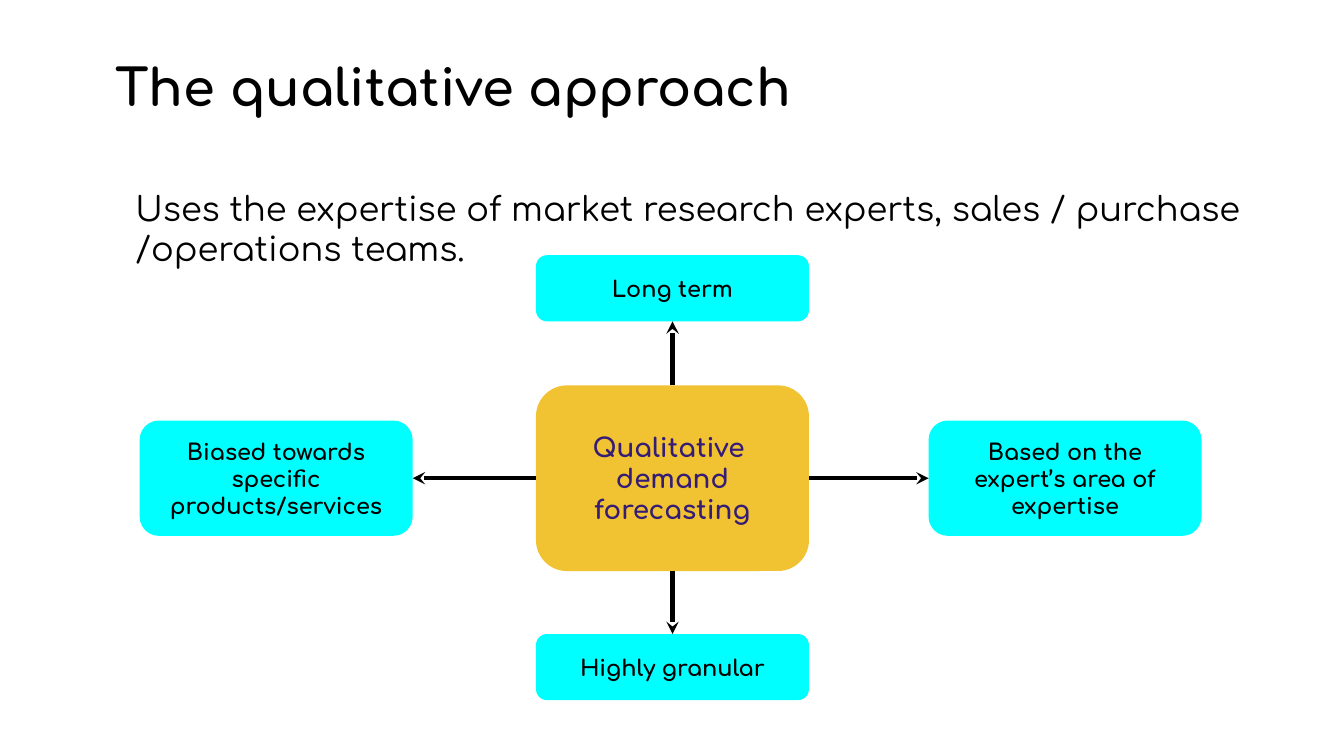
from lxml.etree import SubElement
from pptx import Presentation
from pptx.dml.color import RGBColor
from pptx.enum.shapes import MSO_CONNECTOR, MSO_SHAPE
from pptx.enum.text import MSO_ANCHOR, PP_ALIGN
from pptx.oxml.ns import qn
from pptx.util import Cm, Pt

THEME = {
    "font": "Comfortaa",
    "ink": RGBColor(0x00, 0x00, 0x00),
    "paper": RGBColor(0xFF, 0xFF, 0xFF),
    "hub": RGBColor(0xF1, 0xC2, 0x32),
    "hub_text": RGBColor(0x35, 0x1C, 0x75),
    "card": RGBColor(0x00, 0xFF, 0xFF),
    "title_size": 27.2, "body_size": 18, "hub_size": 14, "card_size": 12,
}

# Content
TITLE = "The qualitative approach"
INTRO = ["Uses the expertise of market research experts, sales / purchase",
         "/operations teams."]
HUB = ["Qualitative ", "demand forecasting"]

# Geometry in cm; cards are placed by their offset from the hub's centre
CENTRE_X, CENTRE_Y = 12.71, 9.04
BOX_W, HUB_H, LOW_H, TALL_H = 5.16, 3.51, 1.25, 2.18
INSET = 0.25
TOP, LEFT, BOTTOM, RIGHT = range(4)  # connection sites of a rounded rectangle

# Text, horizontal offset, vertical offset, height, side of the hub
CARDS = [
    ("Long term", 0, -3.59, LOW_H, TOP),
    ("Highly granular", 0, 3.57, LOW_H, BOTTOM),
    ("Biased towards specific products/services", -7.49, 0, TALL_H, LEFT),
    ("Based on the expert’s area of expertise", 7.42, 0, TALL_H, RIGHT),
]


def write(shape, lines, size, color, bold=True, align=PP_ALIGN.CENTER,
          anchor=MSO_ANCHOR.MIDDLE):
    tf = shape.text_frame
    tf.word_wrap = True
    tf.vertical_anchor = anchor
    tf.margin_left = tf.margin_right = tf.margin_top = tf.margin_bottom = Cm(INSET)
    tf.text = "\n".join(lines)
    for p in tf.paragraphs:
        p.alignment = align
        for r in p.runs:
            r.font.name = THEME["font"]
            r.font.size = Pt(size)
            r.font.bold = bold
            r.font.color.rgb = color


def add_box(s, lines, dx, dy, height, fill, size, color):
    box = s.shapes.add_shape(
        MSO_SHAPE.ROUNDED_RECTANGLE,
        Cm(CENTRE_X + dx - BOX_W / 2), Cm(CENTRE_Y + dy - height / 2),
        Cm(BOX_W), Cm(height))
    box.shadow.inherit = False
    box.fill.solid()
    box.fill.fore_color.rgb = fill
    box.line.fill.background()
    write(box, lines, size, color)
    return box


def add_arrow(s, hub, card, side):
    arrow = s.shapes.add_connector(MSO_CONNECTOR.STRAIGHT, 0, 0, 0, 0)
    arrow.begin_connect(hub, side)
    arrow.end_connect(card, (side + 2) % 4)
    arrow.line.color.rgb = THEME["ink"]
    arrow.line.width = Pt(2.25)
    SubElement(arrow.line._get_or_add_ln(), qn("a:tailEnd"), type="stealth")
    SubElement(arrow._element.spPr, qn("a:effectLst"))


def main():
    prs = Presentation()
    prs.slide_width, prs.slide_height = Cm(25.4), Cm(14.29)
    s = prs.slides.add_slide(prs.slide_layouts[5])

    # Title
    title = s.shapes.title
    title.left, title.top, title.width, title.height = Cm(1.93), Cm(0.81), Cm(23.67), Cm(1.6)
    title.line.color.rgb = THEME["paper"]
    title.line.width = Pt(0.75)
    write(title, [TITLE], THEME["title_size"], THEME["ink"],
          align=PP_ALIGN.LEFT, anchor=MSO_ANCHOR.TOP)

    # Introduction
    intro = s.shapes.add_textbox(Cm(2.31), Cm(3.3), Cm(22.05), Cm(3.99))
    write(intro, INTRO, THEME["body_size"], THEME["ink"], bold=False,
          align=PP_ALIGN.LEFT, anchor=MSO_ANCHOR.TOP)

    # Hub, with a card and an arrow on each side
    hub = add_box(s, HUB, 0, 0, HUB_H, THEME["hub"], THEME["hub_size"], THEME["hub_text"])
    for text, dx, dy, height, side in CARDS:
        card = add_box(s, [text], dx, dy, height, THEME["card"],
                       THEME["card_size"], THEME["ink"])
        add_arrow(s, hub, card, side)

    prs.save("out.pptx")


if __name__ == "__main__":
    main()
